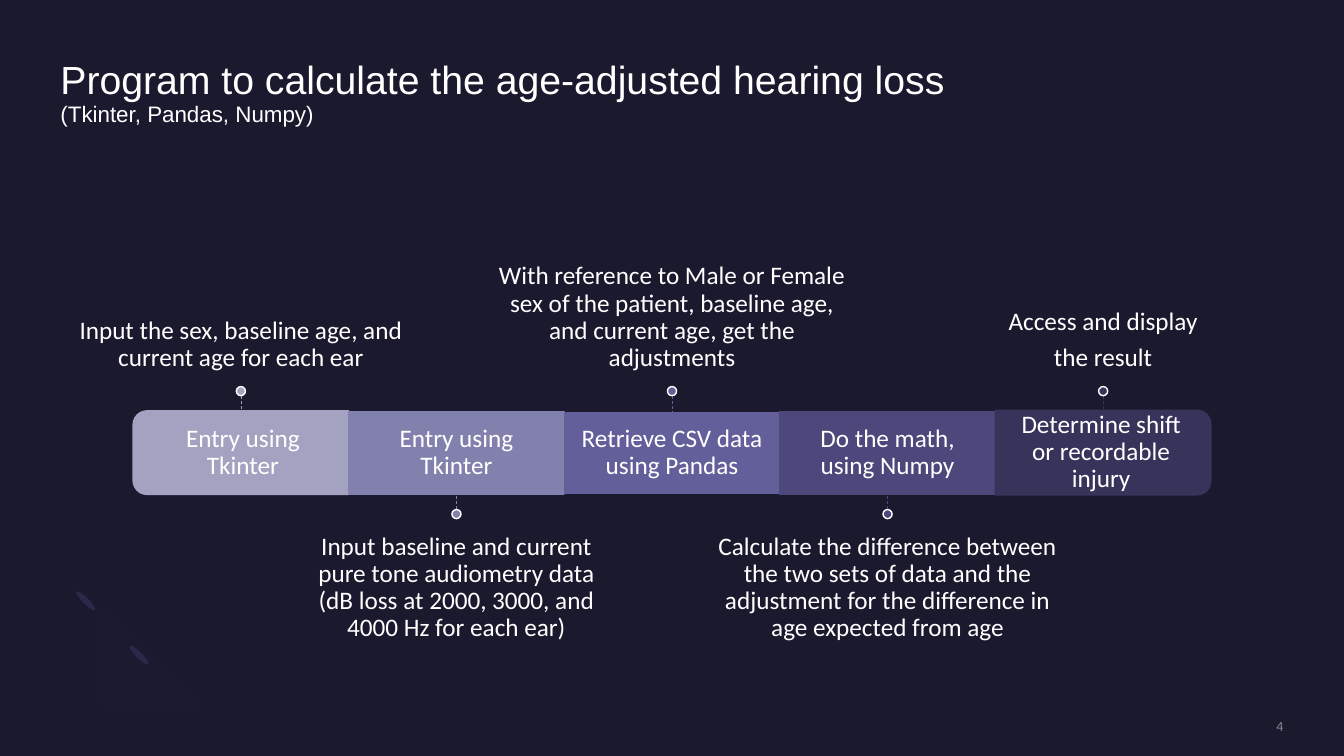
from dataclasses import dataclass

from lxml.etree import SubElement
from pptx import Presentation
from pptx.dml.color import RGBColor
from pptx.enum.dml import MSO_LINE
from pptx.enum.shapes import MSO_CONNECTOR, MSO_SHAPE
from pptx.enum.text import MSO_ANCHOR, PP_ALIGN
from pptx.oxml.ns import qn
from pptx.util import Inches, Pt

COLORS = {
    "background": "1B192E", "text": "FFFFFF", "number": "A6A6A6",
    "leaf": "2C284A", "arc": "7771B2",
}
NOTE_FORMAT = {"alignment": PP_ALIGN.CENTER, "line_spacing": 0.9, "space_after": Pt(6.3)}
NOTE_FONT = {"name": "Calibri", "size": Pt(18)}
PAD = 0.15

# Band colour, band height, band label, note paragraphs, note width
STEPS = [
    ("A3A3C1", 0.83, "Entry using Tkinter",
     ["Input the sex, baseline age, and current age for each ear"], 3.57),
    ("8281AE", 0.82, "Entry using Tkinter",
     ["Input baseline and current pure tone audiometry data "
      "(dB loss at 2000, 3000, and 4000 Hz for each ear)"], 2.96),
    ("625F9A", 0.80, "Retrieve CSV data using Pandas",
     ["With reference to Male or Female sex of the patient, baseline age, "
      "and current age, get the adjustments"], 3.57),
    ("4C487B", 0.82, "Do the math, using Numpy",
     ["Calculate the difference between the two sets of data and the "
      "adjustment for the difference in age expected from age"], 3.57),
    ("37335B", 0.84, "Determine shift or recordable injury",
     ["Access and display", "the result"], 3.57),
]


@dataclass
class Box:
    left: float
    top: float
    width: float
    height: float

    def emu(self):
        return [Inches(v) for v in (self.left, self.top, self.width, self.height)]


def centred(x, y, width, height):
    return Box(x - width / 2, y - height / 2, width, height)


def set_values(target, values):
    for name, value in values.items():
        setattr(target, name, value)


def set_alpha(fill_owner, percent):
    color = fill_owner.find(f".//{qn('a:srgbClr')}")
    SubElement(color, qn("a:alpha"), val=str(percent * 1000))


def paint(shape, fill, line=None):
    shape.shadow.inherit = False
    shape.fill.solid()
    shape.fill.fore_color.rgb = RGBColor.from_string(fill)
    if line:
        shape.line.color.rgb = RGBColor.from_string(line)
        shape.line.width = Pt(1)
    else:
        shape.line.fill.background()


def add_figure(slide, kind, box, fill, line=None, rotation=0):
    shape = slide.shapes.add_shape(kind, *box.emu())
    shape.rotation = rotation
    paint(shape, fill, line)


def add_run(paragraph, text, font, color="text"):
    run = paragraph.add_run()
    run.text = text
    set_values(run.font, font)
    run.font.color.rgb = RGBColor.from_string(COLORS[color])
    return run


def add_frame(slide, box, anchor, margins=(0, 0, 0, 0)):
    frame = slide.shapes.add_textbox(*box.emu()).text_frame
    sides = ("margin_left", "margin_top", "margin_right", "margin_bottom")
    set_values(frame, {"word_wrap": True, "vertical_anchor": anchor})
    set_values(frame, {side: Inches(m) for side, m in zip(sides, margins)})
    return frame


def add_note(slide, box, texts, anchor, margins):
    frame = add_frame(slide, box, anchor, margins)
    for index, text in enumerate(texts):
        paragraph = frame.add_paragraph() if index else frame.paragraphs[0]
        set_values(paragraph, NOTE_FORMAT)
        add_run(paragraph, text, NOTE_FONT)


def bezier(start, first, second, end, count=12):
    for t in (i / count for i in range(1, count + 1)):
        weights = ((1 - t) ** 3, 3 * t * (1 - t) ** 2, 3 * t * t * (1 - t), t ** 3)
        yield tuple(sum(w * p[axis] for w, p in zip(weights, (start, first, second, end)))
                    for axis in (0, 1))


def draw_ornament(slide, box):
    def place(x, y):
        return box.left + x * box.width, box.top + y * box.height

    # Faint open ring
    curves = [
        [(0.2, 0.77), (0, 0.57), (0.02, 0.23), (0.25, 0)],
        [(0.43, 0.18), (0.31, 0.29), (0.3, 0.47), (0.4, 0.56)],
        [(0.4, 0.56), (0.5, 0.66), (0.67, 0.65), (0.79, 0.54)],
        [(0.96, 0.72), (0.74, 0.94), (0.39, 0.97), (0.2, 0.77)],
    ]
    points = [place(*point) for curve in curves for point in [curve[0], *bezier(*curve)]]
    builder = slide.shapes.build_freeform(*points[0], scale=Inches(1))
    builder.add_line_segments(points[1:], close=True)
    ring = builder.convert_to_shape()
    paint(ring, COLORS["arc"])
    set_alpha(ring.fill._xPr, 2)

    # Leaves at the two open ends
    for x, y in ((0.82, 0.68), (0.29, 0.14)):
        add_figure(slide, MSO_SHAPE.OVAL, centred(*place(x, y), 0.06, 0.26),
                   COLORS["leaf"], rotation=135)


def draw_title(slide, box):
    paragraph = add_frame(slide, box, MSO_ANCHOR.TOP).paragraphs[0]
    paragraph.line_spacing = 0.9
    add_run(paragraph, "Program to calculate the age-adjusted hearing loss",
            {"name": "Arial", "size": Pt(28)})
    paragraph.add_line_break()
    add_run(paragraph, "(Tkinter, Pandas, Numpy)", {"name": "Arial", "size": Pt(16)})


def draw_step(slide, box, step, above, rotation):
    color, height, label, note, note_width = step
    x, y = box.left + box.width / 2, box.top + box.height / 2

    # Band and its label
    if rotation:
        band, kind = centred(x, y, height, box.width), MSO_SHAPE.ROUND_2_SAME_RECTANGLE
    else:
        band, kind = centred(x, y, box.width, height), MSO_SHAPE.RECTANGLE
    add_figure(slide, kind, band, color, color, rotation)
    label_shift = {270: 0.02, 90: -0.02}.get(rotation, 0)
    add_note(slide, centred(x + label_shift, y, box.width - 2 * abs(label_shift), height),
             [label], MSO_ANCHOR.MIDDLE, [PAD] * 4)

    # Note above or below the band
    side = -1 if above else 1
    note_box = centred(x, y + side * 1.41, note_width, 1.52)
    anchor = MSO_ANCHOR.BOTTOM if above else MSO_ANCHOR.TOP
    add_note(slide, note_box, note, anchor, (0, 0, 0, PAD) if above else (0, PAD, 0, 0))

    # Dashed stem with a dot
    ends = [Inches(v) for v in (x, y + side * 0.56, x, y + side * 0.21)]
    stem = slide.shapes.add_connector(MSO_CONNECTOR.STRAIGHT, *ends)
    stem.line.color.rgb = RGBColor.from_string(color)
    set_values(stem.line, {"width": Pt(0.5), "dash_style": MSO_LINE.DASH})
    SubElement(stem._element.spPr, qn("a:effectLst"))
    add_figure(slide, MSO_SHAPE.OVAL, centred(x, y + side * 0.61, 0.09, 0.09),
               color, COLORS["text"])


def draw_timeline(slide, box):
    column = box.width / len(STEPS)
    rotations = {0: 270, len(STEPS) - 1: 90}
    for index, step in enumerate(STEPS):
        cell = Box(box.left + index * column, box.top, column, box.height)
        draw_step(slide, cell, step, index % 2 == 0, rotations.get(index, 0))


def draw_page_number(slide, box):
    paragraph = add_frame(slide, box, MSO_ANCHOR.MIDDLE).paragraphs[0]
    paragraph.alignment = PP_ALIGN.RIGHT
    run = add_run(paragraph, "4", {"name": "Calibri", "size": Pt(10)}, "number")
    set_alpha(run._r, 80)


def main():
    presentation = Presentation()
    set_values(presentation, {"slide_width": Inches(13.33), "slide_height": Inches(7.5)})
    slide = presentation.slides.add_slide(presentation.slide_layouts[6])
    slide.background.fill.solid()
    slide.background.fill.fore_color.rgb = RGBColor.from_string(COLORS["background"])

    draw_ornament(slide, Box(0.56, 5.82, 1, 1))
    draw_title(slide, Box(0.6, 0.6, 12.13, 0.78))
    draw_timeline(slide, Box(1.32, 4.08, 10.69, 0.82))
    draw_page_number(slide, Box(10.88, 7.12, 1.85, 0.17))
    presentation.save("out.pptx")


if __name__ == "__main__":
    main()
